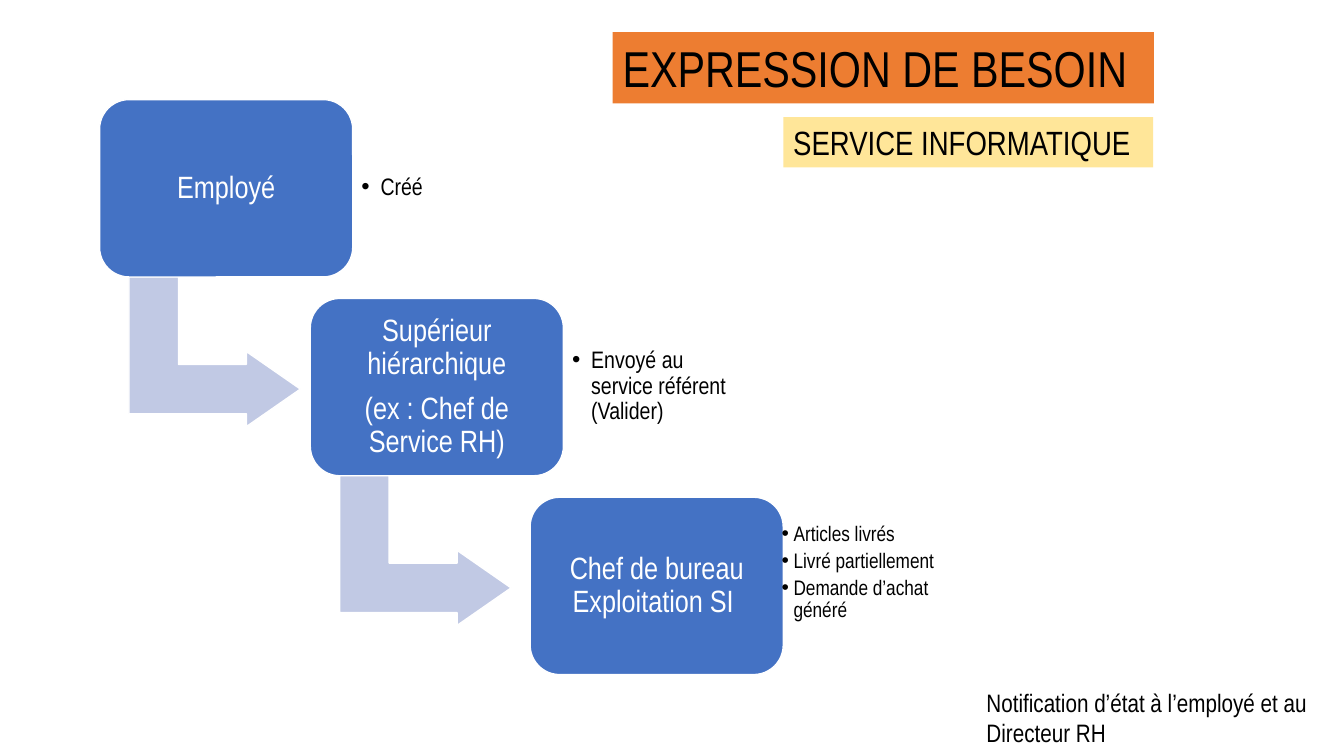
from lxml import etree
from pptx import Presentation
from pptx.dml.color import RGBColor
from pptx.enum import shapes, text
from pptx.oxml import ns
from pptx.util import Cm, Pt

FONT = "Arial Narrow"
BLUE = RGBColor(0x44, 0x72, 0xC4)
PALE_BLUE = RGBColor(0xC1, 0xC9, 0xE4)
ORANGE = RGBColor(0xED, 0x7D, 0x31)
YELLOW = RGBColor(0xFF, 0xE6, 0x99)
WHITE = RGBColor(0xFF, 0xFF, 0xFF)
BLACK = RGBColor(0, 0, 0)

FIRST_TOP, STEP_HEIGHT = 2.51, 5.01
BOX_WIDTH, BOX_HEIGHT = 6.38, 4.47

# box left, box lines, details left, details, details size, bullet indent, bottom inset
STEPS = [
    (2.51, ["Employé"], 8.89, ["Créé"], 17, 0.48, 0.23),
    (7.82, ["Supérieur hiérarchique", "(ex : Chef de Service RH)"],
     14.2, ["Envoyé au service référent (Valider)"], 17, 0.48, 0.23),
    (13.36, ["Chef de bureau Exploitation SI "],
     19.48, ["Articles livrés", "Livré partiellement", "Demande d’achat généré"],
     15, 0.3, 0.85),
]


def write(shape, lines, size, color, align=text.PP_ALIGN.LEFT):
    frame = shape.text_frame
    frame.word_wrap = True
    frame.text = "\n".join(lines)
    for paragraph in frame.paragraphs:
        paragraph.alignment = align
        font = paragraph.runs[0].font
        font.name, font.size, font.color.rgb = FONT, Pt(size), color


def space(frame, after, inset, bottom):
    """Centre the text vertically and set its insets and paragraph spacing."""
    frame.vertical_anchor = text.MSO_ANCHOR.MIDDLE
    frame.margin_left = frame.margin_right = frame.margin_top = Cm(inset)
    frame.margin_bottom = Cm(bottom)
    for paragraph in frame.paragraphs:
        paragraph.line_spacing = 0.9
        paragraph.space_after = Pt(after)


def add_filled(slide, kind, left, top, width, height, fill, line=None):
    shape = slide.shapes.add_shape(kind, Cm(left), Cm(top), Cm(width), Cm(height))
    shape.shadow.inherit = False
    shape.fill.solid()
    shape.fill.fore_color.rgb = fill
    if line is None:
        shape.line.fill.background()
    else:
        shape.line.color.rgb = line
        shape.line.width = Pt(1)
    return shape


def add_text(slide, left, top, width, height, lines, size):
    box = slide.shapes.add_textbox(Cm(left), Cm(top), Cm(width), Cm(height))
    write(box, lines, size, BLACK)
    return box


def add_banner(slide, left, top, width, height, title, size, fill):
    banner = add_filled(slide, shapes.MSO_SHAPE.RECTANGLE, left, top, width, height, fill)
    write(banner, [title], size, BLACK)
    banner.text_frame.vertical_anchor = text.MSO_ANCHOR.TOP


def add_arrow(slide, box_left, box_top):
    """Add the bent arrow that leads from a box to the next step."""
    arrow = add_filled(slide, shapes.MSO_SHAPE.BENT_UP_ARROW, box_left + 1.01,
                       box_top + 4.19, 3.78, 4.32, PALE_BLUE, WHITE)
    arrow.rotation = 90
    for index, value in enumerate((0.33, 0.25, 0.36)):
        arrow.adjustments[index] = value


def add_box(slide, left, top, lines):
    box = add_filled(slide, shapes.MSO_SHAPE.ROUNDED_RECTANGLE, left, top,
                     BOX_WIDTH, BOX_HEIGHT, BLUE, WHITE)
    write(box, lines, 22, WHITE, text.PP_ALIGN.CENTER)
    space(box.text_frame, 8.5, 0.23, 0.23)


def add_details(slide, left, top, lines, size, indent, bottom):
    details = add_text(slide, left, top, 4.65, 3.61, lines, size)
    space(details.text_frame, 2.8, 0.22, bottom)
    for paragraph in details.text_frame.paragraphs:
        paragraph.level = 1
        properties = paragraph._p.get_or_add_pPr()
        properties.set("marL", str(Cm(indent)))
        properties.set("indent", str(-Cm(indent)))
        etree.SubElement(properties, ns.qn("a:buFont"), typeface="Arial")
        etree.SubElement(properties, ns.qn("a:buChar"), char="•")


def main():
    presentation = Presentation()
    presentation.slide_width, presentation.slide_height = Cm(33.87), Cm(19.05)
    slide = presentation.slides.add_slide(presentation.slide_layouts[6])

    for index, step in enumerate(STEPS):
        left, lines, details_left, details, size, indent, bottom = step
        top = FIRST_TOP + index * STEP_HEIGHT
        if index < len(STEPS) - 1:
            add_arrow(slide, left, top)
        add_box(slide, left, top, lines)
        add_details(slide, details_left, top + 0.42, details, size, indent, bottom)

    add_text(slide, 24.61, 17.2, 8.89, 1.8,
             ["Notification d’état à l’employé et au Directeur RH"], 18)
    add_banner(slide, 15.44, 0.81, 13.64, 1.8, "EXPRESSION DE BESOIN", 36, ORANGE)
    add_banner(slide, 19.74, 2.95, 9.32, 1.27, "SERVICE INFORMATIQUE", 24, YELLOW)
    presentation.save("out.pptx")


if __name__ == "__main__":
    main()
